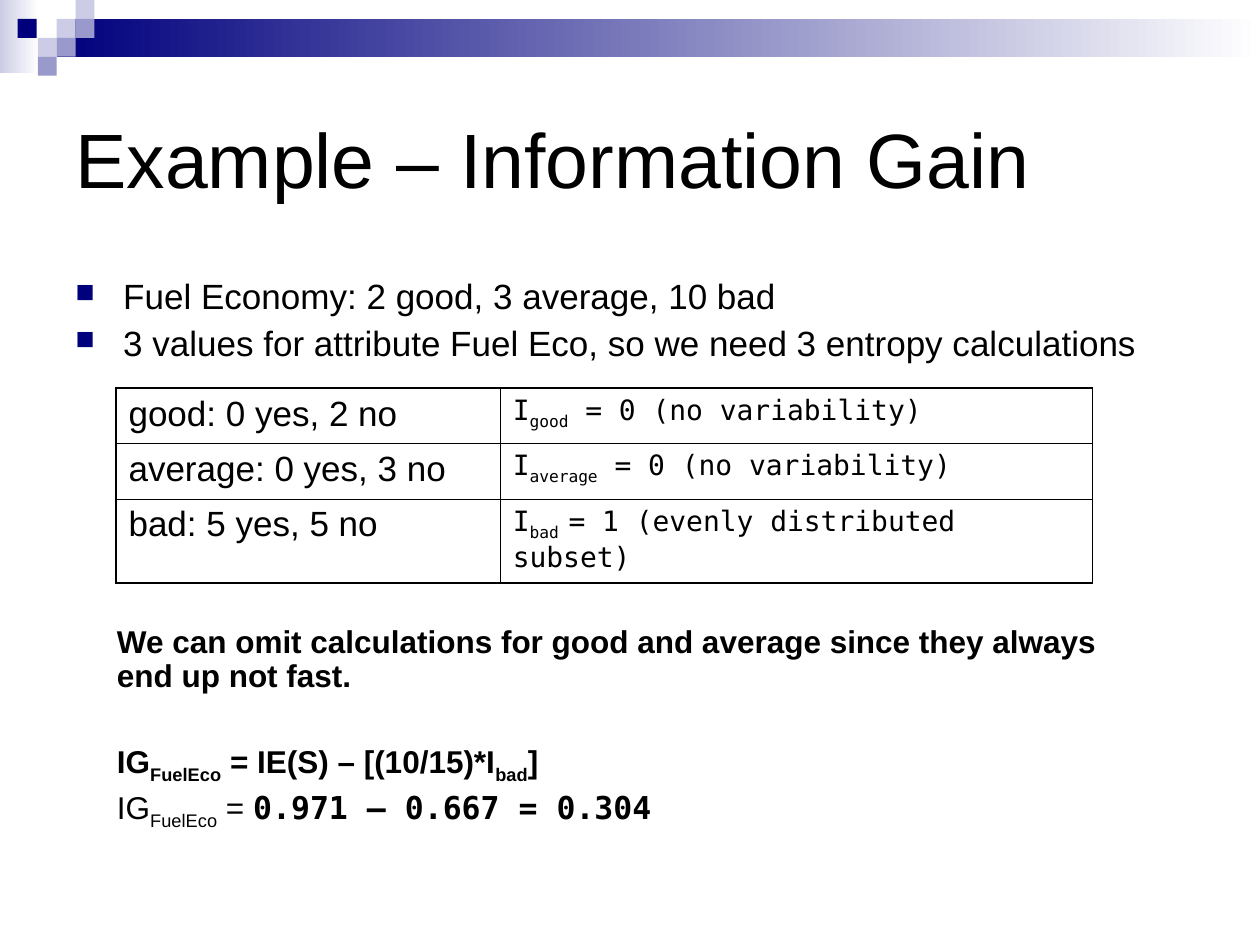
from dataclasses import dataclass
from lxml import etree
from pptx import Presentation
from pptx import util as u
from pptx.dml.color import RGBColor
from pptx.enum import shapes, text
from pptx.oxml import ns
from pptx.slide import Slide

COLORS = {"black": "000000", "white": "FFFFFF", "navy": "00007D",
          "lilac": "CCCCE6", "violet": "9999CC"}
SANS, MONO = "Arial", "DejaVu Sans Mono"


def rgb(name):
    return RGBColor.from_string(COLORS[name])


def add_element(parent, tag, **attributes):
    return etree.SubElement(parent, ns.qn(tag), attributes)


@dataclass
class Run:
    text: str
    subscript: bool = False
    font: str = None
    bold: bool = None


def sub(content):
    return Run(content, subscript=True)


@dataclass
class Deck:
    slide: Slide
    color: str = "black"
    bullet_color: str = "navy"

    def block(self, left, top, width, height, fill, fade=None):
        """Add a plain rectangle; with fade, it blends to that colour on the right."""
        shape = self.slide.shapes.add_shape(
            shapes.MSO_SHAPE.RECTANGLE, *map(u.Inches, (left, top, width, height)))
        shape.shadow.inherit = False
        shape.line.fill.background()
        if fade:
            shape.fill.gradient()
            shape.fill.gradient_angle = 0
            for stop, name in zip(shape.fill.gradient_stops, (fill, fade)):
                stop.color.rgb = rgb(name)
        else:
            shape.fill.solid()
            shape.fill.fore_color.rgb = rgb(fill)

    def fill_paragraph(self, paragraph, runs, size, before=0, spacing=None, font=SANS,
                       bold=False):
        paragraph.font.size = u.Pt(size)
        paragraph.font.name = font
        paragraph.font.bold = bold
        paragraph.font.color.rgb = rgb(self.color)
        paragraph.space_before = u.Pt(before)
        if spacing:
            paragraph.line_spacing = spacing
        for item in runs:
            run = paragraph.add_run()
            run.text = item.text
            if item.font:
                run.font.name = item.font
            if item.bold is not None:
                run.font.bold = item.bold
            if item.subscript:
                run._r.get_or_add_rPr().set("baseline", "-25000")

    def bullet(self, paragraph):
        properties = paragraph._p.get_or_add_pPr()
        properties.set("marL", str(u.Inches(0.38)))
        properties.set("indent", str(-u.Inches(0.38)))
        marks = [etree.Element(ns.qn(tag)) for tag in ("a:buClr", "a:buSzPct", "a:buChar")]
        add_element(marks[0], "a:srgbClr", val=COLORS[self.bullet_color])
        marks[1].set("val", "75000")
        marks[2].set("char", "■")
        defaults = properties.find(ns.qn("a:defRPr"))
        for mark in marks:
            defaults.addprevious(mark)

    def text_box(self, left, top, width, height, paragraphs, bulleted=False,
                 anchor=text.MSO_ANCHOR.TOP):
        """Add a text box; each paragraph is a dict of arguments for fill_paragraph()."""
        box = self.slide.shapes.add_textbox(*map(u.Inches, (left, top, width, height)))
        frame = box.text_frame
        frame.word_wrap = True
        frame.vertical_anchor = anchor
        for index, content in enumerate(paragraphs):
            paragraph = frame.add_paragraph() if index else frame.paragraphs[0]
            self.fill_paragraph(paragraph, **content)
            if bulleted:
                self.bullet(paragraph)

    def border(self, cell, side, width):
        line = add_element(cell._tc.get_or_add_tcPr(), f"a:ln{side}", w=str(u.Pt(width)))
        fill = add_element(line, "a:solidFill")
        add_element(fill, "a:srgbClr", val=COLORS[self.color])

    def table(self, left, top, widths, row_height, rows, outer=1.08, inner=0.45):
        """Add a two-column table with a thicker outer frame."""
        count = len(rows)
        table = self.slide.shapes.add_table(
            count, len(widths), u.Inches(left), u.Inches(top),
            u.Inches(sum(widths)), u.Inches(row_height * count)).table
        table.first_row = table.horz_banding = False
        for column, width in zip(table.columns, widths):
            column.width = u.Inches(width)
        for i, (label, result) in enumerate(rows):
            table.rows[i].height = u.Inches(row_height)
            for j in range(len(widths)):
                cell = table.cell(i, j)
                edges = {"L": j == 0, "R": j == len(widths) - 1,
                         "T": i == 0, "B": i == count - 1}
                for side, is_outer in edges.items():
                    self.border(cell, side, outer if is_outer else inner)
                cell.fill.background()
            first, second = (table.cell(i, j).text_frame.paragraphs[0] for j in range(2))
            self.fill_paragraph(first, [Run(label)], 20, 5)
            self.fill_paragraph(second, result, 16, 4, font=MONO)


def main():
    presentation = Presentation()
    presentation.slide_width, presentation.slide_height = u.Inches(10), u.Inches(7.5)
    deck = Deck(presentation.slides.add_slide(presentation.slide_layouts[6]))

    deck.block(0, 0, 0.31, 0.58, "lilac", fade="white")
    deck.block(0.45, 0.15, 9.55, 0.3, "navy", fade="white")
    for left, top, fill in [
            (0.45, 0.15, "lilac"), (0.6, 0, "lilac"), (0.6, 0.15, "violet"),
            (0.3, 0.3, "lilac"), (0.14, 0.15, "navy"), (0.45, 0.3, "violet"),
            (0.3, 0.45, "violet")]:
        deck.block(left, top, 0.15, 0.15, fill)

    deck.text_box(0.5, 0.5, 9, 1.5, [dict(runs=[Run("Example – Information Gain")], size=44)],
                  anchor=text.MSO_ANCHOR.MIDDLE)
    facts = ["Fuel Economy: 2 good, 3 average, 10 bad",
             "3 values for attribute Fuel Eco, so we need 3 entropy calculations"]
    deck.text_box(0.5, 2.17, 9, 1.17,
                  [dict(runs=[Run(fact)], size=20, before=5, spacing=0.9) for fact in facts],
                  bulleted=True)

    no_variability = Run(" = 0 (no variability)")
    deck.table(0.92, 3.08, [3.05, 4.7], 0.44, [
        ("good: 0 yes, 2 no", [Run("I"), sub("good"), no_variability]),
        ("average: 0 yes, 3 no", [Run("I"), sub("average"), no_variability]),
        ("bad: 5 yes, 5 no",
         [Run("I"), sub("bad "), Run("= 1 (evenly distributed subset)")])])

    gain = [Run("IG"), sub("FuelEco")]
    style = dict(size=18, spacing=0.9)
    deck.text_box(0.83, 4.92, 8.42, 1.71, [
        dict(runs=[Run("We can omit calculations for good and average since they always "
                       "end up not fast.")], bold=True, before=4.5, **style),
        dict(runs=gain + [Run(" = IE(S) – [(10/15)*I"), sub("bad"), Run("]")],
             bold=True, before=27.5, **style),
        dict(runs=gain + [Run(" = "), Run("0.971 – 0.667 = 0.304", font=MONO, bold=True)],
             before=4.5, **style)])
    presentation.save("out.pptx")


if __name__ == "__main__":
    main()
